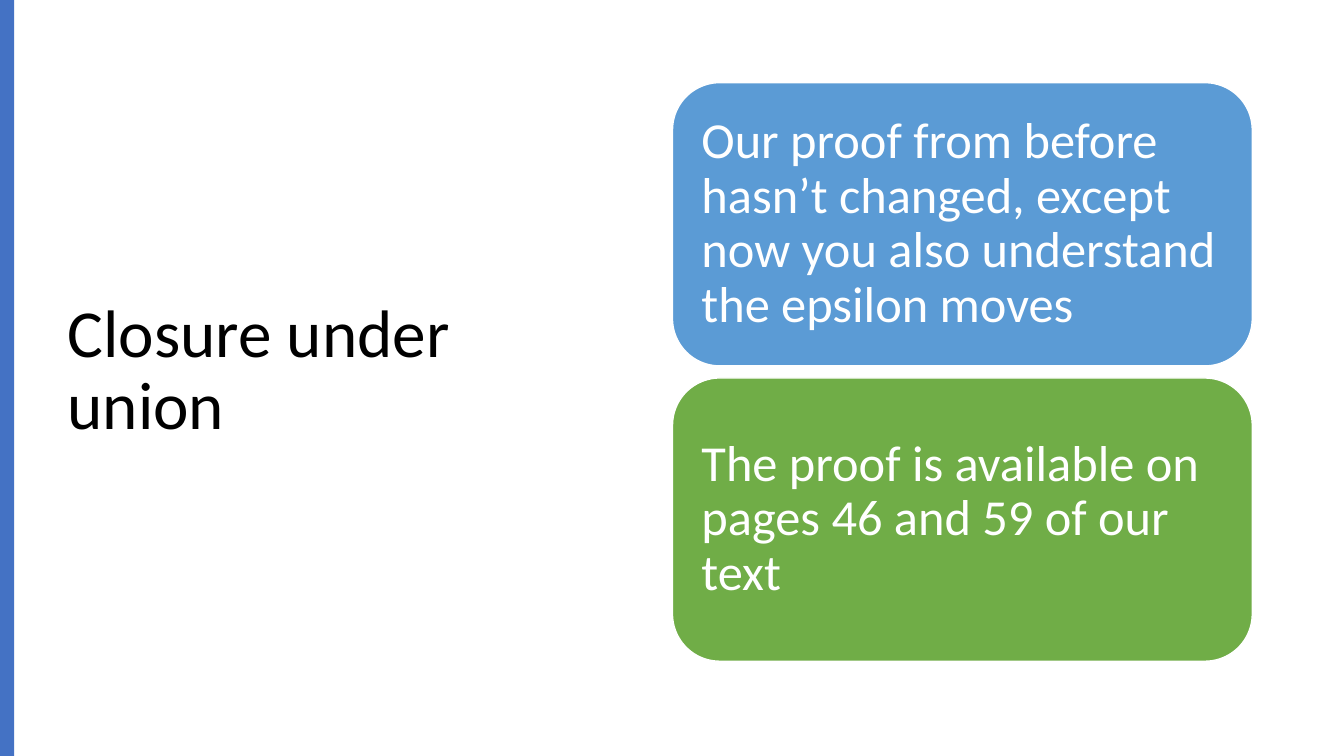
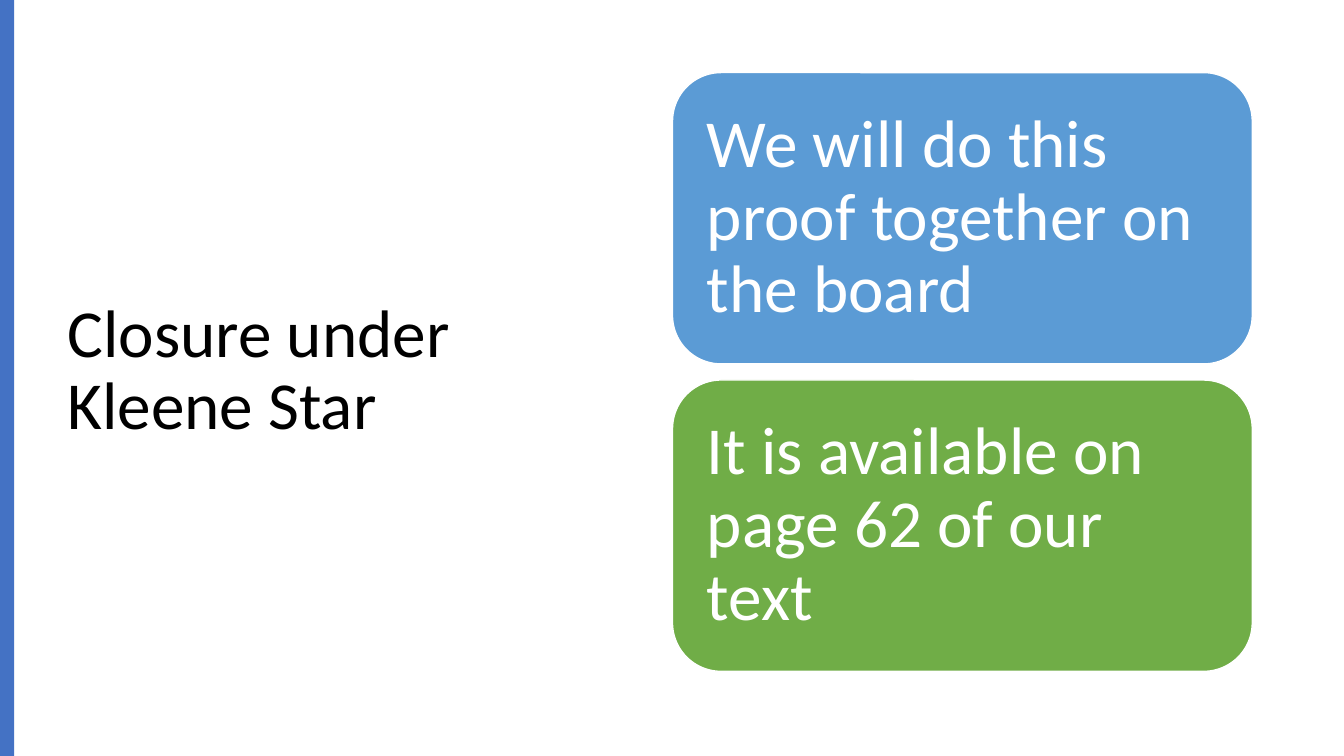
from pptx import Presentation
from pptx.dml.color import RGBColor
from pptx.enum.shapes import MSO_SHAPE as Shape
from pptx.enum.text import MSO_ANCHOR as Anchor, MSO_AUTO_SIZE as AutoSize, PP_ALIGN as Align
from pptx.util import Inches, Pt

FONT = "Calibri"
BLACK, WHITE = "000000", "FFFFFF"
BAND_COLOR = "4472C4"
CARD_COLORS = ["5B9BD5", "70AD47"]
CENTER_Y = 3.69
TITLE_HEIGHT = 6.02
CARD_LEFT, CARD_WIDTH = 6.67, 5.75

TOPICS = [
    {
        "title": "Closure under union",
        "cards": [
            "Our proof from before hasn’t changed, except now you also understand the epsilon moves",
            "The proof is available on pages 46 and 59 of our text",
        ],
        "size": 36, "margin": 0.15, "height": 2.81, "gap": 0.12,
    },
    {
        "title": "Closure under Kleene Star",
        "cards": [
            "We will do this proof together on the board",
            "It is available on page 62 of our text",
        ],
        "size": 48, "margin": 0.2, "height": 2.89, "gap": 0.16,
    },
]


def rgb(color):
    return RGBColor.from_string(color)


def write(shape, text, size=48, color=BLACK, margin=0.1, right=None):
    frame = shape.text_frame
    frame.word_wrap = True
    frame.auto_size = AutoSize.NONE
    frame.vertical_anchor = Anchor.MIDDLE
    frame.margin_left = frame.margin_top = frame.margin_bottom = Inches(margin)
    frame.margin_right = Inches(right or margin)
    frame.text = text
    paragraph = frame.paragraphs[0]
    paragraph.alignment = Align.LEFT
    paragraph.line_spacing = 0.9
    paragraph.font.name = FONT
    paragraph.font.size = Pt(size)
    paragraph.font.color.rgb = rgb(color)


prs = Presentation()
prs.slide_width = Inches(13.33)
prs.slide_height = Inches(7.5)

for topic in TOPICS:
    slide = prs.slides.add_slide(prs.slide_layouts[5])

    title = slide.shapes.title
    title.left, title.top = Inches(0.57), Inches(CENTER_Y - TITLE_HEIGHT / 2)
    title.width, title.height = Inches(5.67), Inches(TITLE_HEIGHT)
    write(title, topic["title"], right=0.3)

    band = slide.shapes.add_shape(Shape.RECTANGLE, 0, 0, Inches(0.14), prs.slide_height)
    band.shadow.inherit = False
    band.fill.solid()
    band.fill.fore_color.rgb = rgb(BAND_COLOR)
    band.line.fill.background()

    height, gap = topic["height"], topic["gap"]
    first_top = CENTER_Y - gap / 2 - height
    for row, (text, color) in enumerate(zip(topic["cards"], CARD_COLORS)):
        card = slide.shapes.add_shape(
            Shape.ROUNDED_RECTANGLE, Inches(CARD_LEFT), Inches(first_top + row * (height + gap)),
            Inches(CARD_WIDTH), Inches(height))
        card.shadow.inherit = False
        card.fill.solid()
        card.fill.fore_color.rgb = rgb(color)
        card.line.color.rgb = rgb(WHITE)
        card.line.width = Pt(1)
        write(card, text, size=topic["size"], color=WHITE, margin=topic["margin"])

prs.save("out.pptx")
